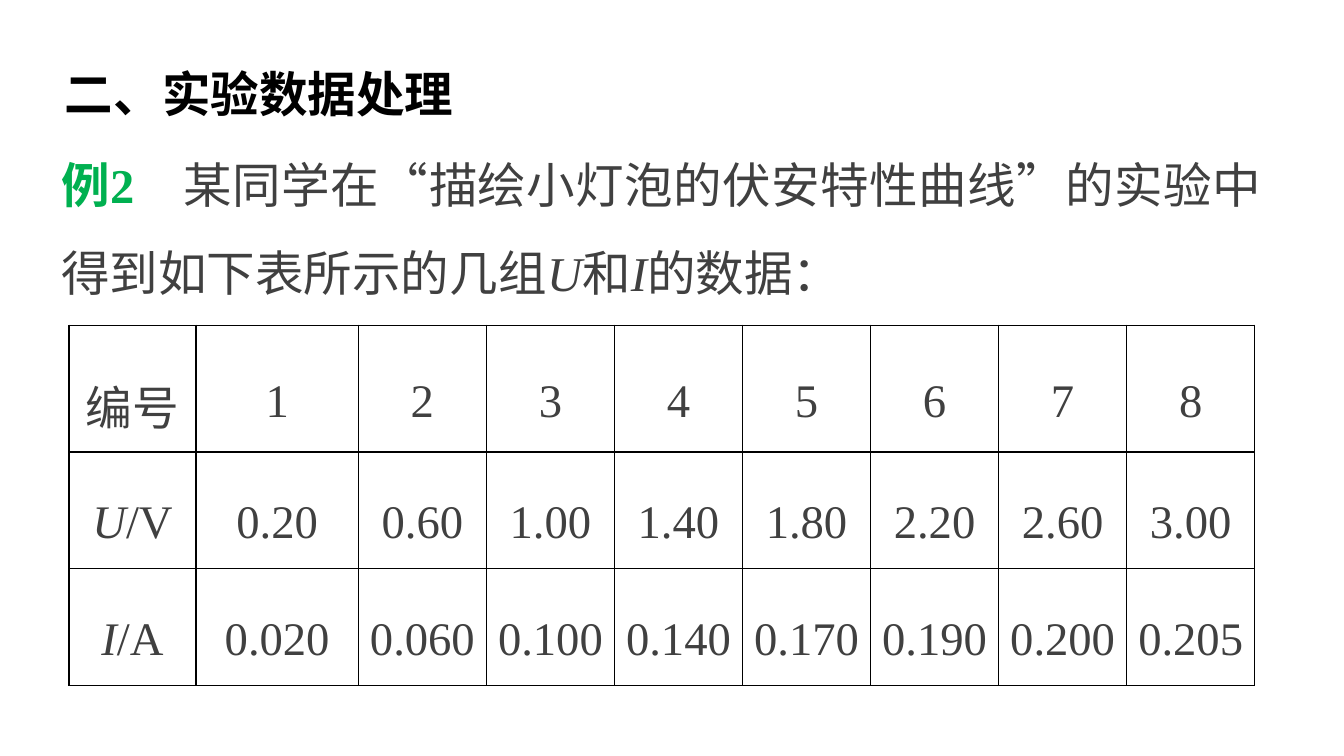
from lxml import etree
from pptx import Presentation
from pptx.dml.color import RGBColor
from pptx.enum import text as t
from pptx.oxml import ns
from pptx.util import Pt

HUES = {"ink": "000000", "text": "404040", "label": "00B050"}
SERIF, SANS = "Times New Roman", "Noto Sans CJK SC"

# Runs are (words, style)
HEAD = [("二、实验数据处理", "head")]
TASK = [
    ("例2", "label"), ("\u3000某同学在", ""), ("“", "quote"),
    ("描绘小灯泡的伏安特性曲线", ""), ("”", "quote"),
    ("的实验中得到如下表所示的几组", ""), ("U", "var"), ("和", ""),
    ("I", "var"), ("的数据：", ""),
]
ROWS = [
    ([("编号", "")], "1 2 3 4 5 6 7 8"),
    ([("U", "var"), ("/V", "")], "0.20 0.60 1.00 1.40 1.80 2.20 2.60 3.00"),
    ([("I", "var"), ("/A", "")],
     "0.020 0.060 0.100 0.140 0.170 0.190 0.200 0.205"),
]
WIDTHS = [68, 87] + [68.6] * 7
HEIGHTS = [67.8, 62.6, 62.6]


def add(parent, tag, **attrs):
    return etree.SubElement(parent, ns.qn(tag), **attrs)


def write(para, runs, size, align):
    para.alignment = align
    para.line_spacing = 1.5
    para.space_before = Pt(0)
    for words, style in runs:
        run = para.add_run()
        run.text = words
        font = run.font
        font.size = Pt(size)
        font.name = SANS if style == "quote" else SERIF
        font.bold = style in ("head", "label")
        font.italic = style == "var"
        hue = {"head": "ink", "label": "label"}.get(style, "text")
        font.color.rgb = RGBColor.from_string(HUES[hue])
        add(run._r.rPr, "a:ea", typeface=SANS)


def place(shape, box, runs, wrap):
    shape.left, shape.top, shape.width, shape.height = map(Pt, box)
    frame = shape.text_frame
    frame.word_wrap = wrap
    frame.auto_size = t.MSO_AUTO_SIZE.NONE
    frame.vertical_anchor = t.MSO_ANCHOR.TOP
    para = frame.paragraphs[0]
    props = para._p.get_or_add_pPr()
    props.set("marL", "0")
    props.set("indent", "0")
    add(props, "a:buNone")
    write(para, runs, 26, t.PP_ALIGN.JUSTIFY)


def border(cell):
    props = cell._tc.get_or_add_tcPr()
    for spot, side in enumerate(("lnL", "lnR", "lnT", "lnB")):
        line = etree.Element(ns.qn("a:" + side), w=str(Pt(1)))
        add(add(line, "a:solidFill"), "a:srgbClr", val=HUES["ink"])
        props.insert(spot, line)


deck = Presentation()
deck.slide_width, deck.slide_height = Pt(720), Pt(405)
slide = deck.slides.add_slide(deck.slide_layouts[1])
place(slide.shapes.title, (27.6, 15, 225, 49), HEAD, False)
place(slide.placeholders[1], (25.5, 64, 657.5, 96), TASK, True)

grid = slide.shapes.add_table(
    len(HEIGHTS), len(WIDTHS), Pt(37), Pt(174.3),
    Pt(sum(WIDTHS)), Pt(sum(HEIGHTS))).table
grid.first_row = grid.horz_banding = False
for col, width in zip(grid.columns, WIDTHS):
    col.width = Pt(width)
for row, height, (label, values) in zip(grid.rows, HEIGHTS, ROWS):
    row.height = Pt(height)
    texts = [label] + [[(value, "")] for value in values.split()]
    for cell, runs in zip(row.cells, texts):
        cell.fill.background()
        cell.vertical_anchor = t.MSO_ANCHOR.MIDDLE
        cell.margin_left = cell.margin_right = Pt(5)
        cell.margin_top = cell.margin_bottom = 0
        write(cell.text_frame.paragraphs[0], runs, 25, t.PP_ALIGN.CENTER)
        border(cell)

deck.save("out.pptx")
